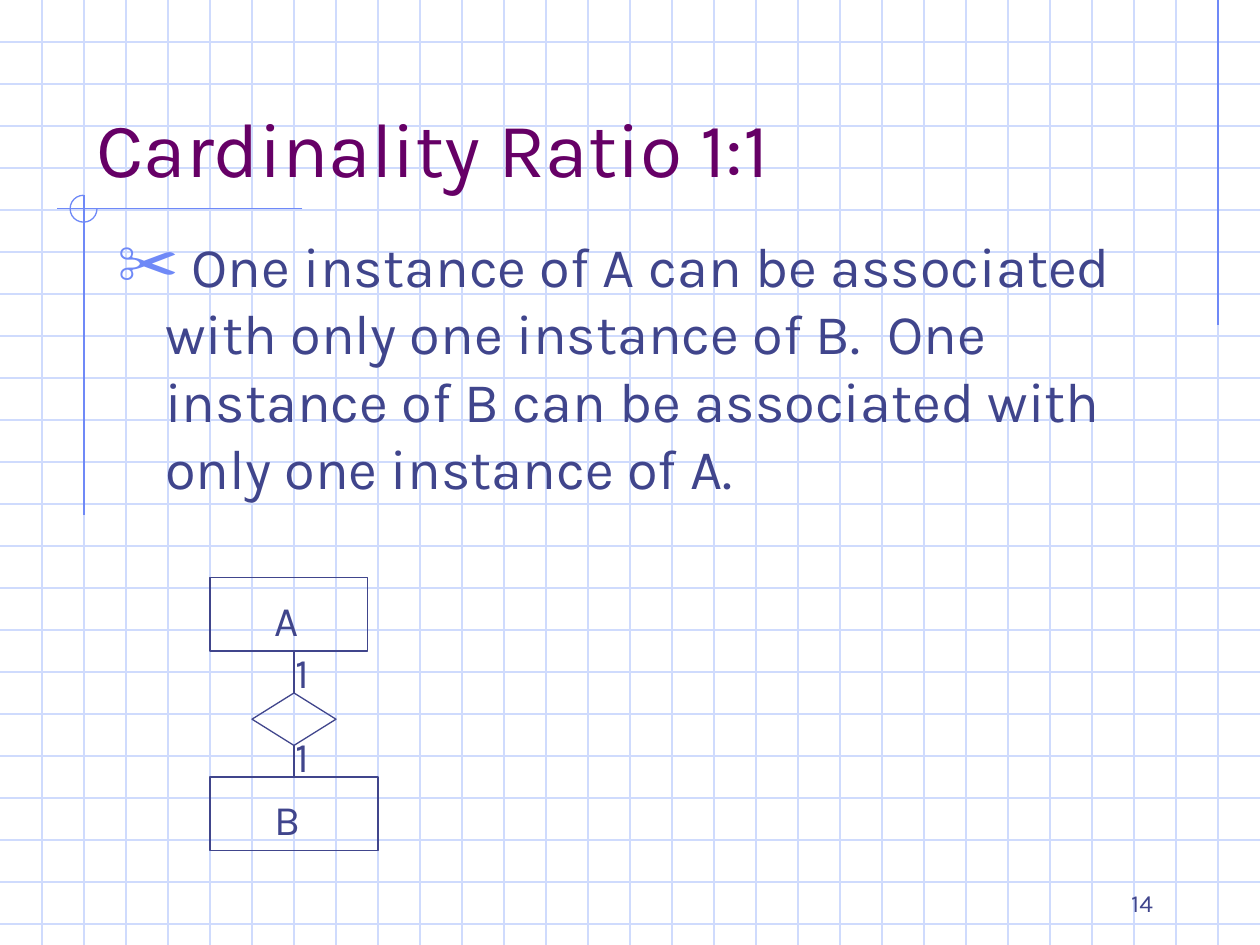
from lxml import etree
from pptx import Presentation
from pptx import util as u
from pptx.dml.color import RGBColor
from pptx.enum import shapes, text
from pptx.oxml.ns import qn

COLORS = {"grid": "CFDBFD", "accent": "6F89F7", "ink": "40458C", "title": "660066"}
FONT = "Karla"
CELL = u.Inches(1) / 3  # the slide is 30 columns by 22.5 rows
COLS, ROWS = 30, 22.5

prs = Presentation()
prs.slide_width, prs.slide_height = int(COLS * CELL), int(ROWS * CELL)
s = prs.slides.add_slide(prs.slide_layouts[5])


def line(x1, y1, x2, y2, color):
    """Draw a thin line between two points given in columns and rows."""
    c = s.shapes.add_connector(shapes.MSO_CONNECTOR.STRAIGHT,
                               *(int(v * CELL) for v in (x1, y1, x2, y2)))
    c.line.width = u.Pt(0.75)
    c.line.color.rgb = RGBColor.from_string(COLORS[color])
    etree.SubElement(c._element.spPr, qn("a:effectLst"))


def write(sp, words, size, color="ink", anchor="TOP", align="LEFT", before=0):
    tf = sp.text_frame
    tf.word_wrap = True
    tf.auto_size = text.MSO_AUTO_SIZE.NONE
    tf.vertical_anchor = text.MSO_ANCHOR[anchor]
    p = tf.paragraphs[0]
    p.alignment = text.PP_ALIGN[align]
    p.space_before = u.Pt(before)
    r = p.add_run()
    r.text = words
    r.font.name, r.font.size = FONT, u.Pt(size)
    r.font.color.rgb = RGBColor.from_string(COLORS[color])
    return p


# Graph paper
for row in range(1, int(ROWS) + 1):
    line(0, row, COLS, row, "grid")
for col in range(1, COLS):
    line(col, 0, col, ROWS, "grid")

# Margin rules and the open circle where two of them cross
for ends in ((29, 0, 29, 7.75), (7.2, 4.97, 1.35, 4.97), (2, 4.65, 2, 12.27)):
    line(*ends, "accent")
arc = s.shapes.add_shape(shapes.MSO_SHAPE.ARC,
                         *(int(v * CELL) for v in (1.67, 4.65, 0.64, 0.64)))
arc.adjustments[0], arc.adjustments[1] = 0, 162  # 0 to 270 degrees
arc.shadow.inherit = False
arc.fill.background()
arc.line.width = u.Pt(0.75)
arc.line.color.rgb = RGBColor.from_string(COLORS["accent"])

# Title, moved in front of the graph paper
title = s.shapes.title
s.shapes._spTree.append(title._element)
title.left, title.top, title.width, title.height = (
    int(v * CELL) for v in (2, 1, 25.5, 3.75))
write(title, "Cardinality Ratio 1:1", 44, "title", "BOTTOM")

# Statement with a scissors bullet
body = s.shapes.add_textbox(*(int(v * CELL) for v in (2.5, 5.37, 25.5, 7)))
p = write(body, " One instance of A can be associated with only one instance of B.  "
          "One instance of B can be associated with only one instance of A.", 32, before=8)
pPr = p._p.get_or_add_pPr()
pPr.set("marL", str(u.Inches(0.38)))
pPr.set("indent", str(-u.Inches(0.38)))
bullet_color = etree.SubElement(pPr, qn("a:buClr"))
etree.SubElement(bullet_color, qn("a:srgbClr"), val=COLORS["accent"])
etree.SubElement(pPr, qn("a:buSzPct"), val="110000")
etree.SubElement(pPr, qn("a:buFont"), typeface=FONT)
etree.SubElement(pPr, qn("a:buChar"), char="✂")

# Entities A and B joined through the relationship diamond
for kind, box in (("RECTANGLE", (5, 13.75, 3.75, 1.75)),
                  ("RECTANGLE", (5, 18.5, 4, 1.75)),
                  ("DIAMOND", (6, 16.5, 2, 1.25))):
    sp = s.shapes.add_shape(shapes.MSO_SHAPE[kind], *(int(v * CELL) for v in box))
    sp.shadow.inherit = False
    sp.fill.background()
    sp.line.width = u.Pt(0.75)
    sp.line.color.rgb = RGBColor.from_string(COLORS["ink"])
line(7, 16.5, 7, 15.5, "ink")
line(7, 17.75, 7, 18.5, "ink")

# Entity names and cardinalities
for words, x, y, width in (("A", 6.25, 14, 1.5), ("B", 6.25, 18.75, 1.25),
                           ("1", 6.75, 15.25, 1), ("1", 6.75, 17.25, 1)):
    label = s.shapes.add_textbox(*(int(v * CELL) for v in (x, y, width, 1.5)))
    write(label, words, 24, before=15)

# Page number
number = s.shapes.add_textbox(*(int(v * CELL) for v in (21.5, 20.5, 6.25, 1.5)))
write(number, "14", 14, anchor="BOTTOM", align="RIGHT")

prs.save("out.pptx")
